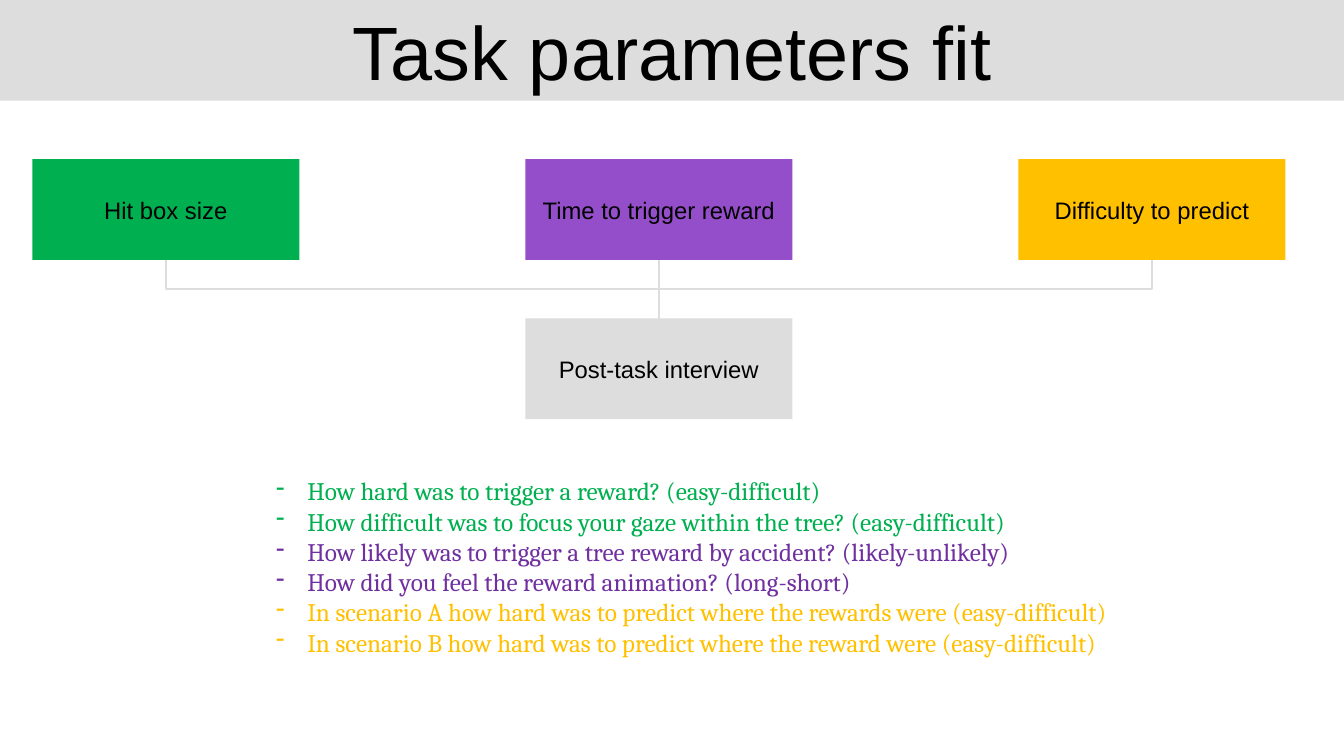
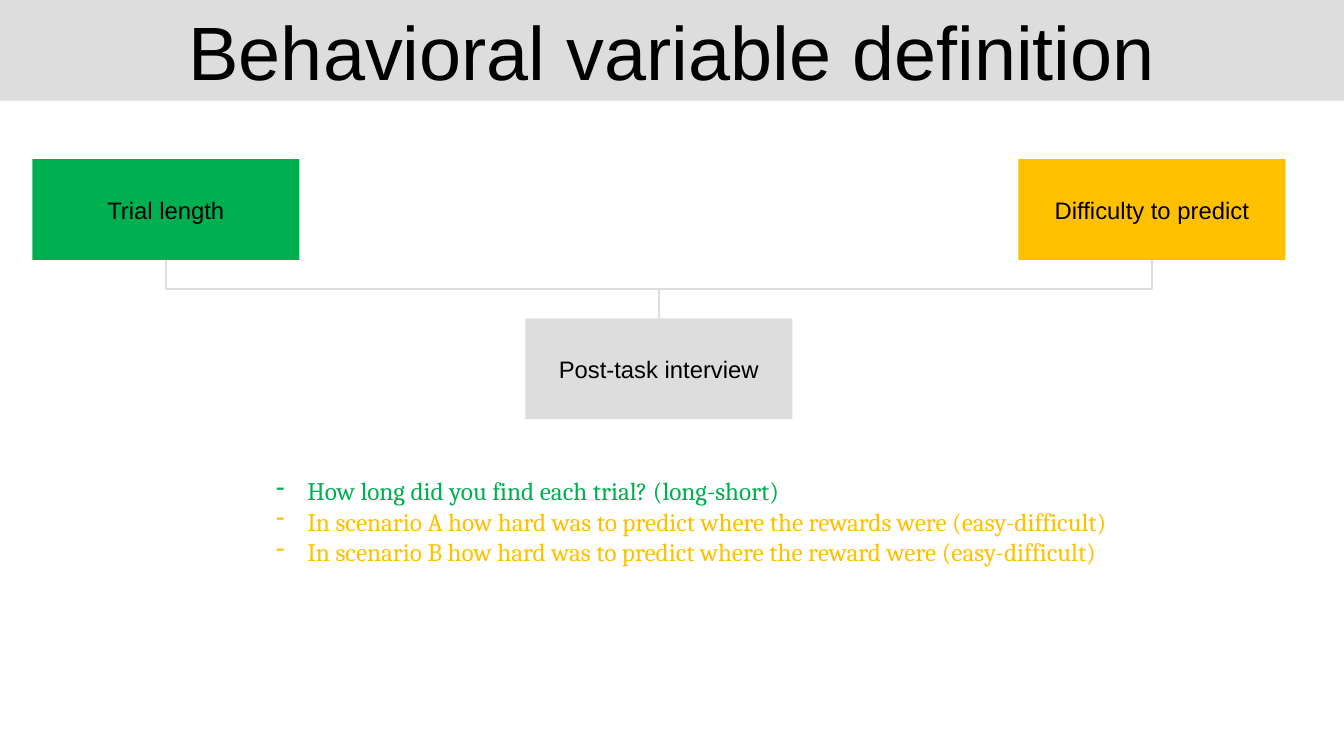
from dataclasses import dataclass

import pptx
import pptx.dml.color
import pptx.enum.shapes
import pptx.enum.text
import pptx.oxml
import pptx.oxml.ns
import pptx.util

Inches = pptx.util.Inches
Pt = pptx.util.Pt

COLORS = {
    "grey": "DDDDDD",
    "black": "000000",
    "green": "00B050",
    "violet": "954ECA",
    "purple": "7030A0",
    "amber": "FFC000",
}

# Layout in inches
SLIDE_W, SLIDE_H = 13.33, 7.5
BAND_H = 1
BOX_W, BOX_H = 2.65, 1
FIRST_X, COLUMN_STEP = 0.32, 4.89
FACTOR_Y, INTERVIEW_Y = 1.58, 3.16
CENTER_COLUMN = 1
LIST_X, LIST_Y, LIST_W = 2.64, 4.67, 8.94
LIST_PADDING, LINE_H, INDENT = 0.1, 0.3, 0.31


@dataclass
class Factor:
    label: str
    column: int
    color: str


@dataclass
class Question:
    text: str
    color: str


@dataclass
class Page:
    title: str
    factors: list[Factor]
    questions: list[Question]


PREDICT = Factor("Difficulty to predict", 2, "amber")
PREDICT_QUESTIONS = [
    Question("In scenario A how hard was to predict where the rewards were (easy-difficult)", "amber"),
    Question("In scenario B how hard was to predict where the reward were (easy-difficult)", "amber"),
]

PAGES = [
    Page(
        "Task parameters fit",
        [Factor("Hit box size", 0, "green"), Factor("Time to trigger reward", 1, "violet"), PREDICT],
        [
            Question("How hard was to trigger a reward? (easy-difficult)", "green"),
            Question("How difficult was to focus your gaze within the tree? (easy-difficult)", "green"),
            Question("How likely was to trigger a tree reward by accident? (likely-unlikely)", "purple"),
            Question("How did you feel the reward animation? (long-short)", "purple"),
            *PREDICT_QUESTIONS,
        ],
    ),
    Page(
        "Behavioral variable definition",
        [Factor("Trial length", 0, "green"), PREDICT],
        [Question("How long did you find each trial? (long-short)", "green"), *PREDICT_QUESTIONS],
    ),
]


def rgb(name: str) -> pptx.dml.color.RGBColor:
    return pptx.dml.color.RGBColor.from_string(COLORS[name])


def column_x(column: int) -> float:
    return FIRST_X + column * COLUMN_STEP


def write(p, text: str, *, size: float, font: str = "Arial", color: str = "black",
          align=pptx.enum.text.PP_ALIGN.CENTER) -> None:
    p.alignment = align
    r = p.add_run()
    r.text = text
    r.font.size = Pt(size)
    r.font.name = font
    r.font.color.rgb = rgb(color)


def add_box(s, x: float, y: float, w: float, h: float, text: str, color: str, size: float = 17):
    sp = s.shapes.add_shape(pptx.enum.shapes.MSO_SHAPE.RECTANGLE,
                            Inches(x), Inches(y), Inches(w), Inches(h))
    sp.shadow.inherit = False
    sp.fill.solid()
    sp.fill.fore_color.rgb = rgb(color)
    sp.line.fill.background()
    sp.text_frame.vertical_anchor = pptx.enum.text.MSO_ANCHOR.MIDDLE
    write(sp.text_frame.paragraphs[0], text, size=size)
    return sp


def add_link(s, factor: Factor, source, target) -> None:
    """Join the bottom of a factor box to the top of the interview box."""
    straight = factor.column == CENTER_COLUMN
    kinds = pptx.enum.shapes.MSO_CONNECTOR
    start_x = column_x(factor.column) + BOX_W / 2
    end_x = column_x(CENTER_COLUMN) + BOX_W / 2
    start_y = FACTOR_Y + BOX_H
    cx = s.shapes.add_connector(kinds.STRAIGHT if straight else kinds.ELBOW,
                                Inches(start_x), Inches(start_y), Inches(end_x), Inches(INTERVIEW_Y))
    cx.begin_connect(source, 2)
    cx.end_connect(target, 0)
    cx.line.color.rgb = rgb("grey")
    cx.line.width = Pt(1.5)
    props = cx._element.spPr
    props.append(pptx.oxml.parse_xml(f"<a:effectLst {pptx.oxml.ns.nsdecls('a')}/>"))
    if straight:
        return
    # A vertical elbow is a horizontal one turned about its centre
    w, h = INTERVIEW_Y - start_y, abs(end_x - start_x)
    cx.left = Inches((start_x + end_x - w) / 2)
    cx.top = Inches((start_y + INTERVIEW_Y - h) / 2)
    cx.width, cx.height = Inches(w), Inches(h)
    from_left = start_x < end_x
    xfrm = props.find(pptx.oxml.ns.qn("a:xfrm"))
    xfrm.set("rot", str((270 if from_left else 90) * 60000))
    xfrm.set("flipH", "1" if from_left else "0")


def add_questions(s, questions: list[Question]) -> None:
    height = LIST_PADDING + LINE_H * len(questions)
    tf = s.shapes.add_textbox(Inches(LIST_X), Inches(LIST_Y), Inches(LIST_W), Inches(height)).text_frame
    tf.word_wrap = False
    tf.auto_size = pptx.enum.text.MSO_AUTO_SIZE.SHAPE_TO_FIT_TEXT
    for i, question in enumerate(questions):
        p = tf.add_paragraph() if i else tf.paragraphs[0]
        write(p, question.text, size=18, font="Cambria", color=question.color,
              align=pptx.enum.text.PP_ALIGN.LEFT)
        props = p._p.get_or_add_pPr()
        props.set("marL", str(Inches(INDENT)))
        props.set("indent", str(-Inches(INDENT)))
        for tag in ("<a:buFontTx {}/>", '<a:buChar {} char="-"/>'):
            props.append(pptx.oxml.parse_xml(tag.format(pptx.oxml.ns.nsdecls("a"))))


def build_page(prs, page: Page) -> None:
    s = prs.slides.add_slide(prs.slide_layouts[6])
    # Title band
    add_box(s, 0, 0, SLIDE_W, BAND_H, page.title, "grey", size=54)
    # Factors leading to the interview
    boxes = [add_box(s, column_x(f.column), FACTOR_Y, BOX_W, BOX_H, f.label, f.color)
             for f in page.factors]
    interview = add_box(s, column_x(CENTER_COLUMN), INTERVIEW_Y, BOX_W, BOX_H,
                        "Post-task interview", "grey")
    for factor, box in zip(page.factors, boxes):
        add_link(s, factor, box, interview)
    # Interview questions
    add_questions(s, page.questions)


def main() -> None:
    prs = pptx.Presentation()
    prs.slide_width, prs.slide_height = Inches(SLIDE_W), Inches(SLIDE_H)
    for page in PAGES:
        build_page(prs, page)
    prs.save("out.pptx")


if __name__ == "__main__":
    main()
